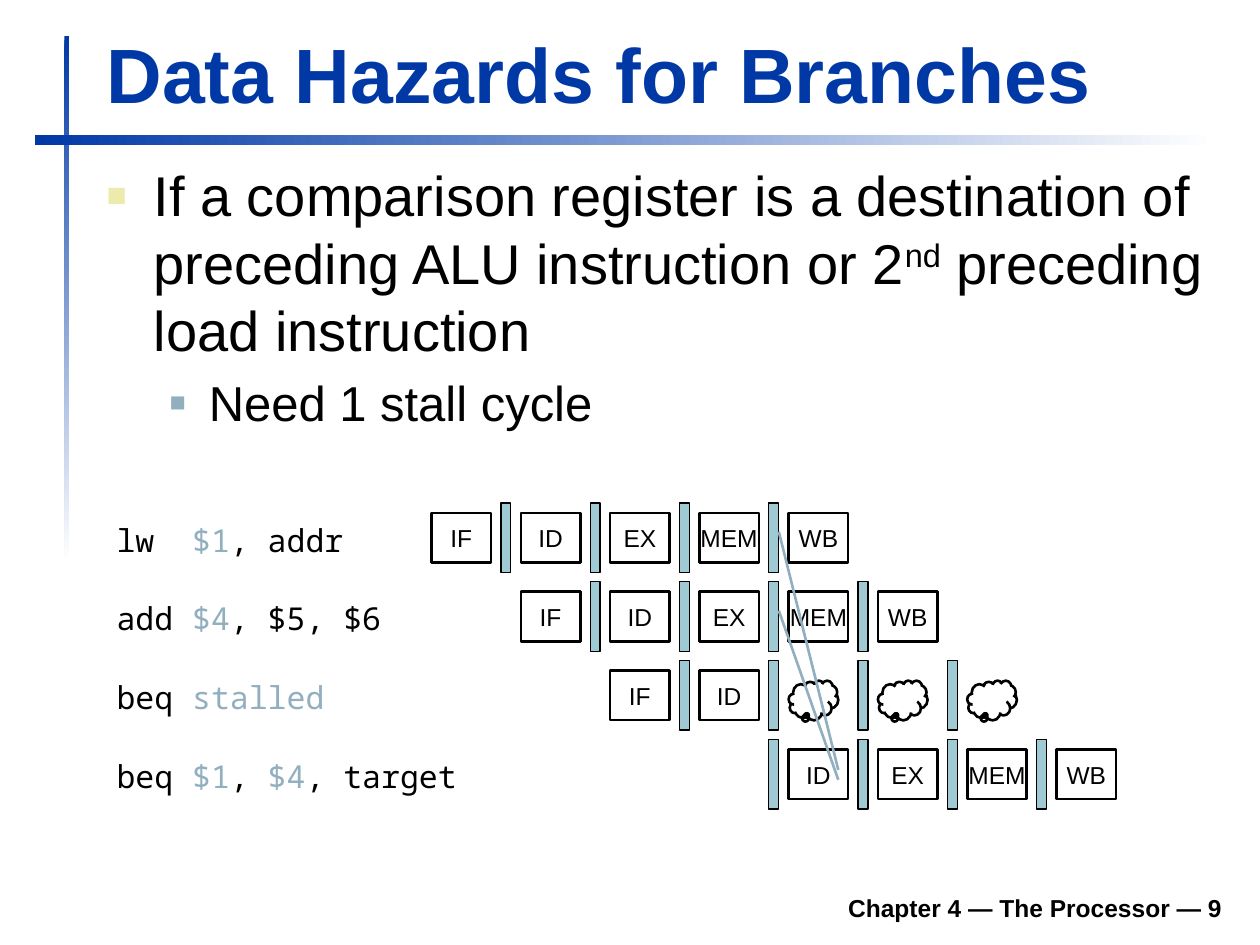
from lxml import etree
from pptx import Presentation
from pptx.dml.color import RGBColor
from pptx.enum.shapes import MSO_CONNECTOR, MSO_SHAPE
from pptx.enum.text import MSO_ANCHOR, PP_ALIGN
from pptx.oxml.ns import qn
from pptx.util import Cm, Pt

RECTANGLE = MSO_SHAPE.RECTANGLE
CLOUD = MSO_SHAPE.CLOUD_CALLOUT
STRAIGHT = MSO_CONNECTOR.STRAIGHT
TOP, MIDDLE, BOTTOM = MSO_ANCHOR.TOP, MSO_ANCHOR.MIDDLE, MSO_ANCHOR.BOTTOM
LEFT, CENTER, RIGHT = PP_ALIGN.LEFT, PP_ALIGN.CENTER, PP_ALIGN.RIGHT

BLUE = RGBColor(0x00, 0x39, 0xA6)
WHITE = RGBColor(0xFF, 0xFF, 0xFF)
BLACK = RGBColor(0x00, 0x00, 0x00)
STEEL = RGBColor(0x91, 0xAF, 0xBF)
LATCH = RGBColor(0x9F, 0xCA, 0xD3)
CREAM = RGBColor(0xEC, 0xEA, 0xAC)

SANS, MONO = "Arial", "Noto Sans Mono"
COLUMN, ROW = 1.8, 1.59
STALL = "stall"

PIPELINE = [
    (0, ["IF", "ID", "EX", "MEM", "WB"],
     [("lw  ", BLACK), ("$1", STEEL), (", addr", BLACK)]),
    (1, ["IF", "ID", "EX", "MEM", "WB"],
     [("add ", BLACK), ("$4", STEEL), (", $5, $6", BLACK)]),
    (2, ["IF", "ID", STALL, STALL, STALL],
     [("beq ", BLACK), ("stalled", STEEL)]),
    (3, [None, "ID", "EX", "MEM", "WB"],
     [("beq ", BLACK), ("$1", STEEL), (", ", BLACK), ("$4", STEEL), (", target", BLACK)]),
]


def style(span, size, color=BLACK, name=SANS, bold=False):
    span.font.size = Pt(size)
    span.font.name = name
    span.font.bold = bold
    span.font.color.rgb = color


def add_span(para, text, size, color=BLACK, name=SANS, bold=False):
    span = para.add_run()
    span.text = text
    style(span, size, color, name, bold)
    return span


def add_text_box(page, left, top, width, height, anchor=TOP, wrap=True):
    frame = page.shapes.add_textbox(Cm(left), Cm(top), Cm(width), Cm(height)).text_frame
    frame.word_wrap = wrap
    frame.vertical_anchor = anchor
    return frame


def add_outline(page, kind, left, top, width, height, weight):
    box = page.shapes.add_shape(kind, Cm(left), Cm(top), Cm(width), Cm(height))
    box.shadow.inherit = False
    box.fill.background()
    box.line.color.rgb = BLACK
    box.line.width = Pt(weight)
    return box


def add_fading_bar(page, left, top, width, height, angle):
    bar = page.shapes.add_shape(RECTANGLE, Cm(left), Cm(top), Cm(width), Cm(height))
    bar.shadow.inherit = False
    bar.line.fill.background()
    bar.fill.gradient()
    bar.fill.gradient_angle = angle
    for stop, color in zip(bar.fill.gradient_stops, (BLUE, WHITE)):
        stop.color.rgb = color


def add_heading(page, text, left, top, width, height, size, color, align):
    para = add_text_box(page, left, top, width, height, BOTTOM).paragraphs[0]
    para.alignment = align
    add_span(para, text, size, color, bold=True)


def set_bullet(para, margin, hanging, color, percent):
    properties = para._p.get_or_add_pPr()
    properties.set("marL", str(Cm(margin)))
    properties.set("indent", str(-Cm(hanging)))
    bullet_color = etree.SubElement(properties, qn("a:buClr"))
    etree.SubElement(bullet_color, qn("a:srgbClr"), val=str(color))
    etree.SubElement(properties, qn("a:buSzPct"), val=str(percent * 1000))
    etree.SubElement(properties, qn("a:buFont"), typeface=SANS)
    etree.SubElement(properties, qn("a:buChar"), char="■")


def add_body(page, left, top, width, height):
    frame = add_text_box(page, left, top, width, height)
    rule = frame.paragraphs[0]
    rule.space_before = Pt(6.4)
    set_bullet(rule, 0.95, 0.95, CREAM, 60)
    add_span(rule, "If a comparison register is a destination of preceding "
                   "ALU instruction or 2", 32)
    ordinal = add_span(rule, "nd", 32)
    ordinal._r.get_or_add_rPr().set("baseline", "30000")
    add_span(rule, " preceding load instruction", 32)

    cost = frame.add_paragraph()
    cost.level = 1
    cost.space_before = Pt(5.6)
    set_bullet(cost, 2.06, 0.79, STEEL, 55)
    add_span(cost, "Need 1 stall cycle", 28)


def add_stage(page, name, left, top):
    box = add_outline(page, RECTANGLE, left, top, 1.2, 1, 1.5)
    frame = box.text_frame
    frame.word_wrap = False
    frame.vertical_anchor = MIDDLE
    frame.text = name
    frame.paragraphs[0].alignment = CENTER
    style(frame.paragraphs[0].runs[0], 14)


def add_stall(page, left, top):
    cloud = add_outline(page, CLOUD, left, top + 0.2, 1, 0.8, 1.5)
    cloud.adjustments[0] = -0.13
    cloud.adjustments[1] = 0.36


def add_latch(page, left, top):
    latch = add_outline(page, RECTANGLE, left + 1.4, top - 0.2, 0.2, 1.4, 0.75)
    latch.fill.solid()
    latch.fill.fore_color.rgb = LATCH


def add_instruction(page, spans, left, top):
    para = add_text_box(page, left, top, 7.4, 1.02, wrap=False).paragraphs[0]
    para.alignment = LEFT
    for text, color in spans:
        add_span(para, text, 18, color, MONO)


def add_forwarding(page, start_x, start_y, end_x, end_y):
    line = page.shapes.add_connector(
        STRAIGHT, Cm(start_x), Cm(start_y), Cm(end_x), Cm(end_y))
    line.line.color.rgb = STEEL
    line.line.width = Pt(1.5)
    etree.SubElement(line._element.spPr, qn("a:effectLst"))


def add_pipeline(page, left, top):
    stages_left = left + 6.6
    for row, (first, stages, spans) in enumerate(PIPELINE):
        y = top + row * ROW
        add_instruction(page, spans, left, y + 0.03)
        for column, stage in enumerate(stages, first):
            x = stages_left + column * COLUMN
            if stage == STALL:
                add_stall(page, x, y)
            elif stage:
                add_stage(page, stage, x, y)
            if column < first + len(stages) - 1:
                add_latch(page, x, y)
    source_x = stages_left + 3 * COLUMN + 1.6
    target_x = stages_left + 4 * COLUMN + 1
    for row, target_y in enumerate((5.18, 5.38)):
        add_forwarding(page, source_x, top + row * ROW + 0.38, target_x, top + target_y)


def main():
    deck = Presentation()
    deck.slide_width, deck.slide_height = Cm(25.4), Cm(19.05)
    page = deck.slides.add_slide(deck.slide_layouts[6])
    add_fading_bar(page, 1.3, 0.72, 0.1, 10.6, 270)
    add_fading_bar(page, 0.7, 2.72, 23.8, 0.2, 0)
    add_heading(page, "Chapter 4 — The Processor — 9",
                4.7, 17.73, 20.19, 0.99, 14, BLACK, RIGHT)
    add_heading(page, "Data Hazards for Branches",
                1.9, 0.4, 22.94, 2.12, 44, BLUE, LEFT)
    add_body(page, 1.9, 3.12, 22.99, 6.6)
    add_pipeline(page, 2.1, 10.34)
    deck.save("out.pptx")


if __name__ == "__main__":
    main()
